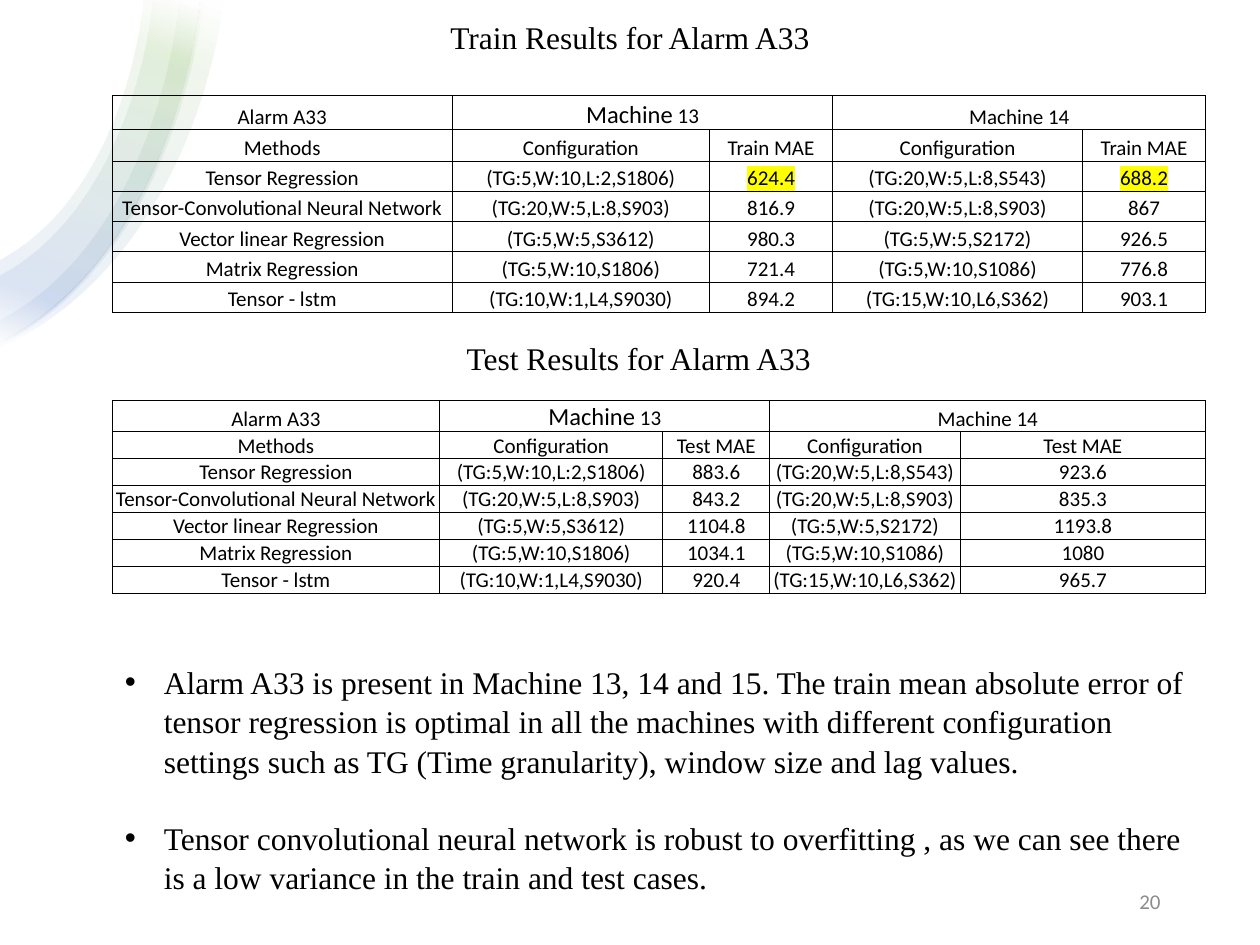
import pptx
import pptx.util
import pptx.oxml
import pptx.oxml.ns
import pptx.dml.color
import pptx.enum.text

Inches, Pt = pptx.util.Inches, pptx.util.Pt
RGBColor = pptx.dml.color.RGBColor
ALIGN = pptx.enum.text.PP_ALIGN
ANCHOR = pptx.enum.text.MSO_ANCHOR
BLACK = RGBColor(0, 0, 0)
GREY = RGBColor(0x8C, 0x8C, 0x8C)
WHITE = RGBColor(255, 255, 255)
GREEN = RGBColor(0x70, 0xAD, 0x47)
BLUE = RGBColor(0x44, 0x72, 0xC4)
YELLOW = RGBColor(255, 255, 0)
SERIF, SANS = "Times New Roman", "Calibri"
NS = pptx.oxml.ns.nsdecls("a")

# Ribbons: left, top, then width and height of the outer and the inner arc
RIBBONS = [
    (-0.49, 0.49, (1.78, 2.75), (1.59, 2.7)),
    (-0.57, 0.56, (1.59, 2.73), (1.14, 2.07)),
    (-0.56, 0.56, (1.61, 2.74), (1.42, 2.54)),
    (-0.57, 0.57, (1.59, 2.72), (1.22, 2.18)),
]
ARC = [(0, 1), (0.55, 0.84), (0.9, 0.45), (1, 0)]
STOPS = [(2, WHITE), (16, GREEN), (85, BLUE), (100, WHITE)]

METHODS = ["Tensor Regression", "Tensor-Convolutional Neural Network",
           "Vector linear Regression", "Matrix Regression", "Tensor - lstm"]
CONFIG_13 = ["(TG:5,W:10,L:2,S1806)", "(TG:20,W:5,L:8,S903)", "(TG:5,W:5,S3612)",
             "(TG:5,W:10,S1806)", "(TG:10,W:1,L4,S9030)"]
CONFIG_14 = ["(TG:20,W:5,L:8,S543)", "(TG:20,W:5,L:8,S903)", "(TG:5,W:5,S2172)",
             "(TG:5,W:10,S1086)", "(TG:15,W:10,L6,S362)"]
TRAIN = (["624.4", "816.9", "980.3", "721.4", "894.2"],
         ["688.2", "867", "926.5", "776.8", "903.1"])
TEST = (["883.6", "843.2", "1104.8", "1034.1", "920.4"],
        ["923.6", "835.3", "1193.8", "1080", "965.7"])
FINDINGS = [
    "Alarm A33 is present in Machine 13, 14 and 15. The train mean absolute error of "
    "tensor regression is optimal in all the machines with different configuration "
    "settings such as TG (Time granularity), window size and lag values.",
    "Tensor convolutional neural network is robust to overfitting , as we can see there "
    "is a low variance in the train and test cases. ",
]


def set_attrs(obj, values):
    for name, value in values.items():
        setattr(obj, name, value)


def add_run(p, text, size, font=SANS, color=BLACK):
    r = p.add_run()
    r.text = text
    set_attrs(r.font, {"size": Pt(size), "name": font})
    r.font.color.rgb = color
    return r


def place(sp, left, top, width, height):
    set_attrs(sp, {"left": Inches(left), "top": Inches(top),
                   "width": Inches(width), "height": Inches(height)})


def arc_points(size, steps=24):
    points = []
    for t in (i / steps for i in range(steps + 1)):
        weights = ((1 - t) ** 3, 3 * t * (1 - t) ** 2, 3 * t * t * (1 - t), t ** 3)
        points.append(tuple(length * sum(w * c[axis] for w, c in zip(weights, ARC))
                            for axis, length in enumerate(size)))
    return points


def add_ribbon(slide, left, top, outer, inner):
    points = arc_points(outer) + arc_points(inner)[::-1]
    # Turn the outline a quarter, since the shape itself is turned back
    turned = [((outer[1] - y) * 1000, x * 1000) for x, y in points]
    builder = slide.shapes.build_freeform(*turned[0], scale=Inches(1) / 1000)
    builder.add_line_segments(turned[1:], close=True)
    sp = builder.convert_to_shape(Inches(left), Inches(top))
    sp.rotation = 270
    sp.shadow.inherit = False
    sp.line.fill.background()
    sp.fill.background()
    stops = "".join(f'<a:gs pos="{pos * 1000}"><a:srgbClr val="{color}">'
                    '<a:alpha val="10000"/></a:srgbClr></a:gs>' for pos, color in STOPS)
    no_fill = sp.element.spPr.find(pptx.oxml.ns.qn("a:noFill"))
    sp.element.spPr.replace(no_fill, pptx.oxml.parse_xml(
        f'<a:gradFill {NS} rotWithShape="1"><a:gsLst>{stops}</a:gsLst>'
        '<a:lin ang="12000000" scaled="0"/></a:gradFill>'))


def add_borders(cell):
    for i, side in enumerate("LRTB"):
        cell._tc.get_or_add_tcPr().insert(i, pptx.oxml.parse_xml(
            f'<a:ln{side} {NS} w="6350"><a:solidFill><a:srgbClr val="{BLACK}"/>'
            f'</a:solidFill></a:ln{side}>'))


def add_results(slide, box, widths, heights, label, errors, highlight=()):
    rows = [["Alarm A33", "Machine 13", "", "Machine 14", ""],
            ["Methods"] + ["Configuration", label] * 2]
    rows += zip(METHODS, CONFIG_13, errors[0], CONFIG_14, errors[1])
    table = slide.shapes.add_table(len(rows), 5, *map(Inches, box)).table
    set_attrs(table, {"first_row": False, "horz_banding": False})
    for column, width in zip(table.columns, widths):
        column.width = Inches(width)
    for row, height in zip(table.rows, heights):
        row.height = Inches(height)
    for i, texts in enumerate(rows):
        for j, text in enumerate(texts):
            cell = table.cell(i, j)
            set_attrs(cell, {"margin_left": Inches(0.01), "margin_right": Inches(0.01),
                             "margin_top": Inches(0.01), "margin_bottom": 0,
                             "vertical_anchor": ANCHOR.BOTTOM})
            cell.fill.background()
            add_borders(cell)
            p = cell.text_frame.paragraphs[0]
            p.alignment = ALIGN.CENTER
            if text == "Machine 13":
                add_run(p, "Machine", 14)
                add_run(p, " 13", 12)
            elif text:
                r = add_run(p, text, 12)
                if (i, j) in highlight:
                    fill = r.font._element.find(pptx.oxml.ns.qn("a:solidFill"))
                    fill.addnext(pptx.oxml.parse_xml(
                        f'<a:highlight {NS}><a:srgbClr val="{YELLOW}"/></a:highlight>'))
    for j in (1, 3):
        table.cell(0, j).merge(table.cell(0, j + 1))


def fill_line(sp, box, text, size, font, color, align, anchor):
    place(sp, *box)
    set_attrs(sp.text_frame, {"word_wrap": True, "vertical_anchor": anchor,
                              "auto_size": pptx.enum.text.MSO_AUTO_SIZE.NONE})
    p = sp.text_frame.paragraphs[0]
    set_attrs(p, {"alignment": align, "space_before": Pt(0)})
    add_run(p, text, size, font, color)


def fill_heading(sp, box, text):
    fill_line(sp, box, text, 18, SERIF, BLACK, ALIGN.CENTER, ANCHOR.TOP)
    sp.text_frame.paragraphs[0].line_spacing = 1.04


def fill_findings(sp, box):
    place(sp, *box)
    tf = sp.text_frame
    set_attrs(tf, {"word_wrap": True, "vertical_anchor": ANCHOR.TOP,
                   "auto_size": pptx.enum.text.MSO_AUTO_SIZE.NONE})
    for i, text in enumerate(FINDINGS):
        p = tf.add_paragraph() if i else tf.paragraphs[0]
        set_attrs(p, {"space_before": Pt(21.6 * i), "line_spacing": 1.04})
        pPr = p._p.get_or_add_pPr()
        pPr.set("marL", str(Inches(0.31)))
        pPr.set("indent", str(-Inches(0.31)))
        for tag in ('buFont {} typeface="Arial"', 'buChar {} char="•"'):
            pPr.append(pptx.oxml.parse_xml(f"<a:{tag.format(NS)}/>"))
        add_run(p, text, 18, SERIF)


prs = pptx.Presentation()
set_attrs(prs, {"slide_width": Inches(10), "slide_height": Inches(7.5)})
slide = prs.slides.add_slide(prs.slide_layouts[1])

# Corner decoration
for ribbon in RIBBONS:
    add_ribbon(slide, *ribbon)

# Result tables
add_results(slide, (0.89, 0.76, 8.68, 1.71), (2.7, 2.04, 0.98, 1.98, 0.98),
            [0.27, 0.25] + [0.24] * 5, "Train MAE", TRAIN, {(2, 2), (2, 4)})
add_results(slide, (0.89, 3.18, 8.68, 1.48), (2.6, 1.77, 0.85, 1.51, 1.95),
            [0.18] * 7, "Test MAE", TEST)

# Headings, findings and page number
fill_heading(slide.shapes.title, (2.5, 0.08, 5, 0.4), "Train Results for Alarm A33")
test_box = (2.57, 2.63, 5, 0.4)
fill_heading(slide.shapes.add_textbox(*map(Inches, test_box)), test_box,
             "Test Results for Alarm A33")
fill_findings(slide.placeholders[1], (0.89, 5.2, 8.68, 1.92))
number_box = (7.06, 6.95, 2.25, 0.4)
fill_line(slide.shapes.add_textbox(*map(Inches, number_box)), number_box,
          "20", 12, SANS, GREY, ALIGN.RIGHT, ANCHOR.MIDDLE)

prs.save("out.pptx")
